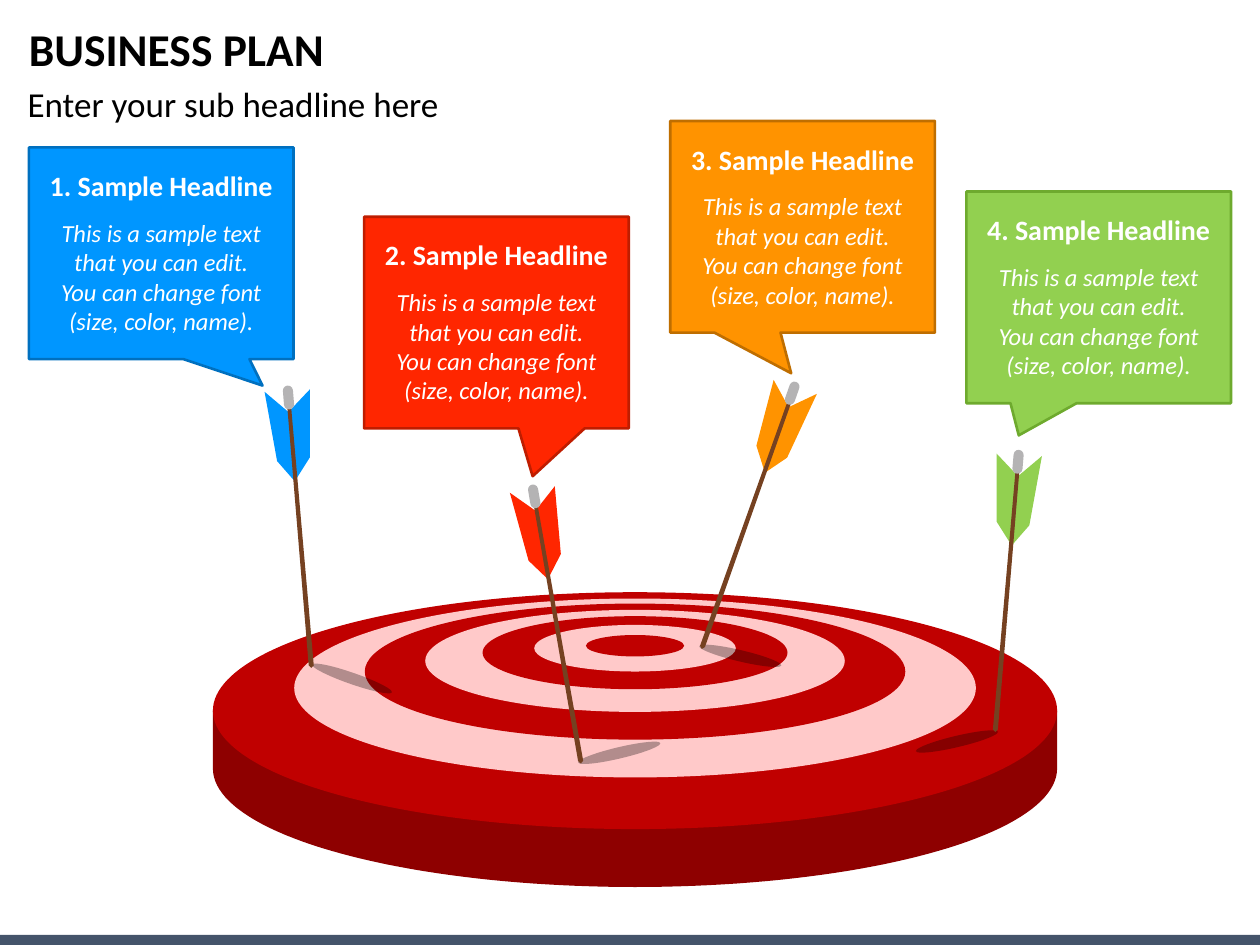
from dataclasses import dataclass
from math import cos, pi, radians, sin

from lxml.etree import SubElement
from pptx import Presentation
from pptx.dml.color import RGBColor
from pptx.enum.shapes import MSO_SHAPE
from pptx.enum.text import MSO_ANCHOR, MSO_AUTO_SIZE, PP_ALIGN
from pptx.oxml.ns import qn
from pptx.util import Inches, Pt


@dataclass(frozen=True)
class Theme:
    font: str = "Calibri"
    ink: str = "000000"
    pale: str = "FFFFFF"
    bar: str = "44546A"
    rim: str = "8E0000"
    red: str = "C00000"
    pink: str = "FFC9C9"
    wood: str = "754121"
    nock: str = "B4B3B4"
    title: int = 26
    sub: int = 20
    head: int = 16
    body: int = 14
    edge: float = 1.5
    shade: int = 30


FEATHER = [(-0.37, -2.19), (-0.18, -2.03), (-0.01, -2.21),
           (-0.01, -1.67), (-0.13, -1.48), (-0.27, -1.64)]
SHAFT = [(0.02, -0.02), (0, 0), (-0.02, -0.02), (-0.2, -2.19), (-0.17, -2.19)]
NOCK = (-0.18, -2.14)
LEAN = -4.75
BODY = ("This is a sample text that you can edit. "
        "You can change font (size, color, name).")


class Deck:
    def __init__(self, theme):
        self.theme = theme
        self.file = Presentation()
        self.file.slide_width, self.file.slide_height = Inches(10), Inches(7.5)
        self.slide = self.file.slides.add_slide(self.file.slide_layouts[5])

    def paint(self, shape, fill, line=None, alpha=None):
        shape.shadow.inherit = False
        shape.fill.solid()
        shape.fill.fore_color.rgb = RGBColor.from_string(fill)
        if alpha:
            color = shape.element.spPr.find(qn("a:solidFill"))[0]
            SubElement(color, qn("a:alpha")).set("val", str(alpha * 1000))
        if line:
            shape.line.color.rgb = RGBColor.from_string(line)
            shape.line.width = Pt(self.theme.edge)
        else:
            shape.line.fill.background()

    def shape(self, kind, box, fill, turn=0, **style):
        shape = self.slide.shapes.add_shape(kind, *map(Inches, box))
        shape.rotation = turn
        self.paint(shape, fill, **style)
        return shape

    def outline(self, points, fill):
        spots = [(Inches(x), Inches(y)) for x, y in points]
        pen = self.slide.shapes.build_freeform(*spots[0], scale=1.0)
        pen.add_line_segments(spots[1:], close=True)
        self.paint(pen.convert_to_shape(), fill)

    def label(self, frame, text, size, color, align=PP_ALIGN.LEFT,
              bold=False, italic=False):
        frame.word_wrap = True
        para = frame.paragraphs[0]
        para.alignment = align
        run = para.add_run()
        run.text = text
        font = run.font
        font.name, font.size = self.theme.font, Pt(size)
        font.bold, font.italic = bold, italic
        font.color.rgb = RGBColor.from_string(color)
        return para

    def text(self, box, *words, **style):
        frame = self.slide.shapes.add_textbox(*map(Inches, box)).text_frame
        return self.label(frame, *words, **style)

    def title(self, box, text):
        shape = self.slide.shapes.title
        shape.left, shape.top, shape.width, shape.height = map(Inches, box)
        frame = shape.text_frame
        frame.auto_size = MSO_AUTO_SIZE.NONE
        frame.vertical_anchor = MSO_ANCHOR.MIDDLE
        para = self.label(frame, text, self.theme.title, self.theme.ink, bold=True)
        para.line_spacing = 0.9

    def subtitle(self, box, text):
        para = self.text(box, text, self.theme.sub, self.theme.ink)
        para.line_spacing = 0.9
        para.space_before = Pt(10)

    def target(self, mid, rings, depth):
        left, top, width, height = rings[0]
        level = top + height / 2
        steps = 90
        front = [(mid + width / 2 * cos(pi * n / steps),
                  level + depth + height / 2 * sin(pi * n / steps))
                 for n in range(steps + 1)]
        self.outline([(left + width, level), *front, (left, level)], self.theme.rim)
        for n, ring in enumerate(rings):
            fill = self.theme.pink if n % 2 else self.theme.red
            self.shape(MSO_SHAPE.OVAL, ring, fill)

    def arrow(self, tip, side, turn, fill, shade, tilt):
        angle = radians(turn)

        def place(point):
            x, y = point[0] * side, point[1]
            return (tip[0] + x * cos(angle) - y * sin(angle),
                    tip[1] + x * sin(angle) + y * cos(angle))

        self.shape(MSO_SHAPE.OVAL, (*shade, 0.67, 0.09), self.theme.ink,
                   tilt, alpha=self.theme.shade)
        self.outline(map(place, FEATHER), fill)
        self.outline(map(place, SHAFT), self.theme.wood)
        x, y = place(NOCK)
        nock = self.shape(MSO_SHAPE.ROUNDED_RECTANGLE,
                          (x - 0.04, y - 0.1, 0.08, 0.19),
                          self.theme.nock, turn + side * LEAN)
        nock.adjustments[0] = 0.5

    def callout(self, head, left, top, tail, fill, line):
        box = self.shape(MSO_SHAPE.RECTANGULAR_CALLOUT,
                         (left, top, 2.1, 1.68), fill, line=line)
        box.adjustments[0], box.adjustments[1] = tail
        pale, mid = self.theme.pale, PP_ALIGN.CENTER
        self.text((left, top + 0.12, 2.1, 0.37), head, self.theme.head, pale,
                  align=mid, bold=True)
        self.text((left + 0.11, top + 0.51, 1.88, 1.04), BODY, self.theme.body,
                  pale, align=mid, italic=True)


def main():
    deck = Deck(Theme())
    deck.shape(MSO_SHAPE.RECTANGLE, (0, 7.42, 10, 0.08), deck.theme.bar)
    deck.title((0.13, 0.17, 9.75, 0.48), "BUSINESS PLAN")
    deck.subtitle((0.12, 0.64, 9.75, 0.64), "Enter your sub headline here")

    mid = 5.04
    sizes = [(4.7, 6.7, 1.88), (4.75, 5.41, 1.42), (4.79, 4.29, 1.08),
             (4.84, 3.33, 0.81), (4.89, 2.42, 0.58), (4.96, 1.6, 0.37),
             (5.04, 0.78, 0.17)]
    rings = [(mid - wide / 2, top, wide, high) for top, wide, high in sizes]
    deck.target(mid, rings, 0.46)

    plans = [
        ("0096FF", "0070BF", (0.23, 1.17), (0.383, 0.625),
         (2.47, 5.3), 1, 0, (2.46, 5.34), 19.2),
        ("FF2600", "BF1D00", (2.89, 1.72), (0.137, 0.726),
         (4.61, 6.06), 1, -5.1, (4.58, 5.93), -13.3),
        ("FF9300", "BF6E00", (5.32, 0.96), (-0.043, 0.692),
         (5.57, 5.15), -1, 14.7, (5.54, 5.16), 13.3),
        ("92D050", "6EAA2E", (7.67, 1.52), (-0.302, 0.652),
         (7.9, 5.81), -1, 0, (7.26, 5.84), -13.3),
    ]
    for fill, _, _, _, tip, side, turn, shade, tilt in plans:
        deck.arrow(tip, side, turn, fill, shade, tilt)
    for n, (fill, line, spot, tail, *_) in enumerate(plans, 1):
        deck.callout(f"{n}. Sample Headline", *spot, tail, fill, line)

    deck.file.save("out.pptx")


if __name__ == "__main__":
    main()
